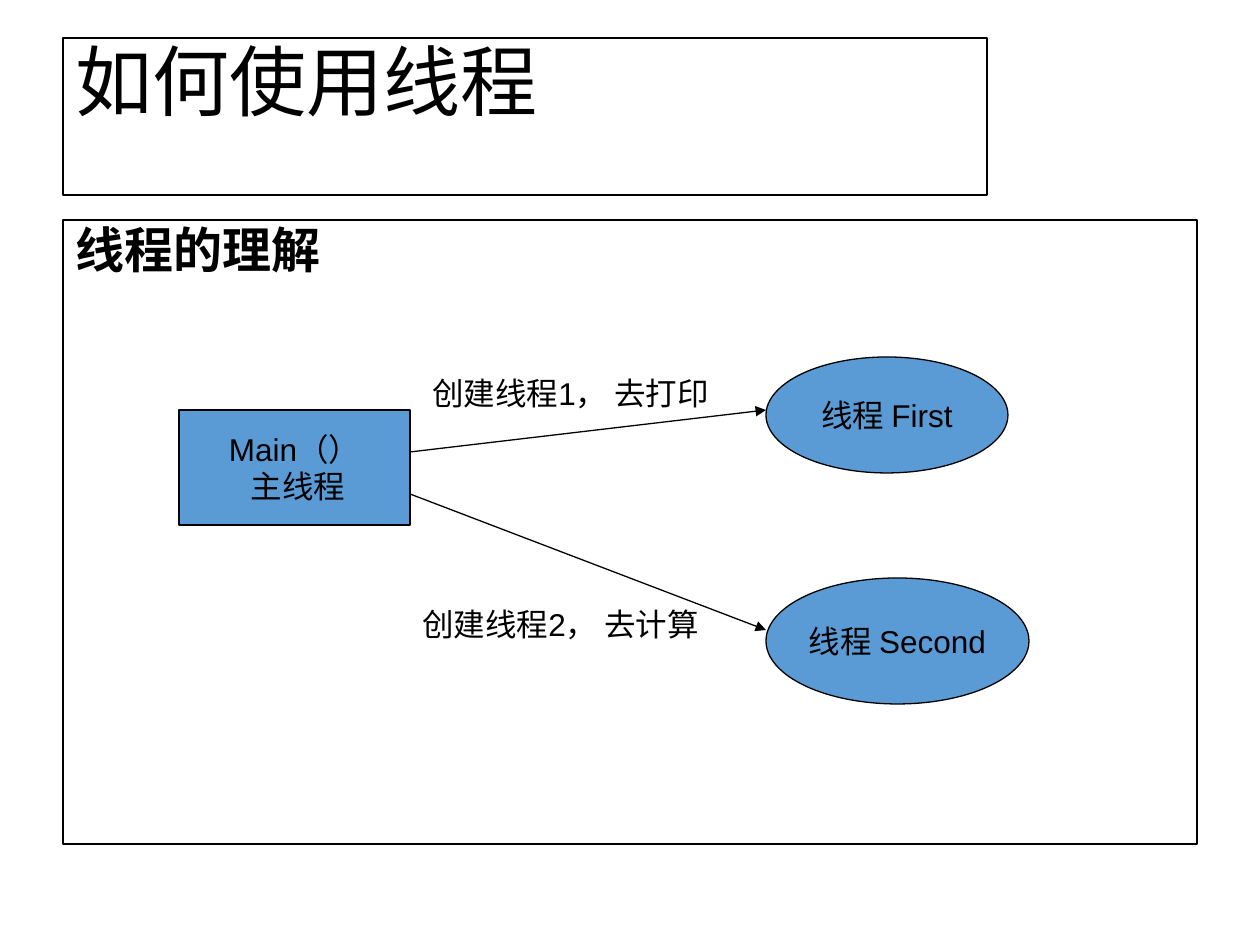
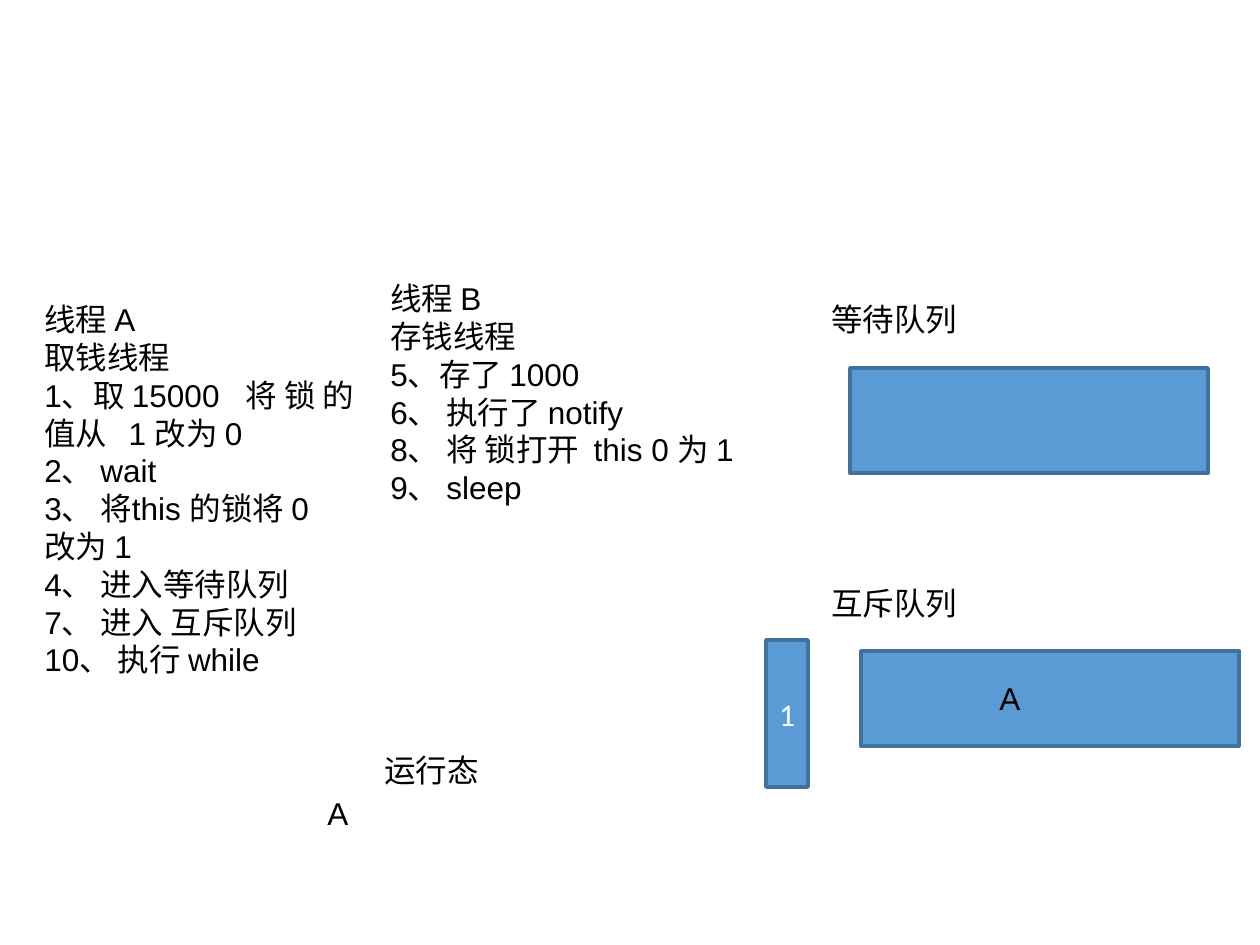
from dataclasses import dataclass
from typing import Optional

import lxml.etree
import pptx
import pptx.dml.color
import pptx.enum.lang
import pptx.enum.shapes
import pptx.enum.text
import pptx.oxml.ns
import pptx.util

# Shared scale, colours and formats
EMU_PER_PX = 914400 / 126
TITLE_ONLY, BLANK = 5, 6
COLOURS = {"paper": "FFFFFF", "ink": "000000", "blue": "5B9BD5", "edge": "41719C"}

SHAPES = pptx.enum.shapes.MSO_SHAPE
ALIGN = pptx.enum.text.PP_ALIGN
ANCHOR = pptx.enum.text.MSO_ANCHOR
AUTO_SIZE = pptx.enum.text.MSO_AUTO_SIZE
CHINESE = pptx.enum.lang.MSO_LANGUAGE_ID.SIMPLIFIED_CHINESE


@dataclass(frozen=True)
class Style:
    """Look of a box: its outline, its text frame and its text."""
    fill: Optional[str] = None
    line: str = "ink"
    line_width: float = 0.75
    font: str = "Arial"
    size: int = 18
    bold: bool = False
    colour: str = "ink"
    align: ALIGN = ALIGN.LEFT
    anchor: ANCHOR = ANCHOR.TOP
    wrap: bool = True
    auto_size: AUTO_SIZE = AUTO_SIZE.NONE
    line_spacing: float = 1.0
    space_before: float = 0


TITLE = Style(fill="paper", font="Calibri", size=44, line_spacing=0.9)
CONTENT = Style(fill="paper", font="Calibri", size=28, bold=True,
                line_spacing=0.9, space_before=10)
NODE = Style(fill="blue", align=ALIGN.CENTER, anchor=ANCHOR.MIDDLE, wrap=False)
QUEUE = Style(fill="blue", line="edge", line_width=2, font="Calibri",
              colour="paper", align=ALIGN.CENTER, anchor=ANCHOR.MIDDLE)
NOTE = Style(auto_size=AUTO_SIZE.SHAPE_TO_FIT_TEXT)
ARROW_LABEL = Style(auto_size=AUTO_SIZE.SHAPE_TO_FIT_TEXT, space_before=11.2)


@dataclass(frozen=True)
class Box:
    """A box in px; without a preset shape it is a plain text box."""
    left: int
    top: int
    width: int
    height: int
    style: Style
    lines: tuple[str, ...] = ()
    preset: Optional[SHAPES] = None


@dataclass(frozen=True)
class Arrow:
    start: tuple[int, int]
    end: tuple[int, int]


# Slide 1: the main thread starts two others
THREADS_TITLE = Box(63, 38, 924, 157, TITLE, ("如何使用线程",))
THREADS_BOXES = (
    Box(63, 220, 1134, 624, CONTENT, ("线程的理解",), SHAPES.RECTANGLE),
    Box(179, 410, 231, 115, NODE, ("Main（）", " 主线程"), SHAPES.RECTANGLE),
    Box(766, 357, 242, 116, NODE, ("线程 First",), SHAPES.OVAL),
    Box(766, 578, 263, 126, NODE, ("线程 Second",), SHAPES.OVAL),
)
THREADS_ARROWS = (Arrow((410, 452), (766, 410)), Arrow((410, 494), (766, 630)))
THREADS_LABELS = (
    Box(420, 368, 315, 88, ARROW_LABEL, ("创建线程1， 去打印",)),
    Box(410, 599, 315, 88, ARROW_LABEL, ("创建线程2， 去计算",)),
)

# Slide 2: two threads, their queues and the lock
QUEUES_BOXES = (
    Box(32, 294, 336, 391, NOTE, (
        "线程 A",
        "取钱线程",
        "1、取 15000   将 锁 的值从   1 改为 0",
        "2、 wait",
        "3、 将this 的锁将 0  改为 1",
        "4、 进入等待队列",
        "7、 进入 互斥队列",
        "10、 执行 while",
    )),
    Box(378, 273, 378, 315, NOTE, (
        "线程 B",
        "存钱线程",
        "5、存了 1000",
        "6、 执行了 notify",
        "8、 将 锁打开  this 0 为 1",
        "9、 sleep",
    )),
    Box(850, 368, 358, 105, QUEUE, preset=SHAPES.RECTANGLE),
    Box(861, 651, 378, 95, QUEUE, preset=SHAPES.RECTANGLE),
    Box(819, 294, 189, 50, NOTE, ("等待队列",)),
    Box(819, 578, 220, 50, NOTE, ("互斥队列",)),
    Box(766, 640, 42, 147, QUEUE, ("1",), SHAPES.RECTANGLE),
    Box(315, 788, 95, 50, NOTE, ("A",)),
    Box(987, 673, 123, 50, NOTE, ("A",)),
    Box(372, 745, 164, 50, NOTE, ("运行态",)),
)


def px(length: int) -> pptx.util.Emu:
    return pptx.util.Emu(round(length * EMU_PER_PX))


def rgb(name: str) -> pptx.dml.color.RGBColor:
    return pptx.dml.color.RGBColor.from_string(COLOURS[name])


def set_attributes(target: object, values: dict) -> None:
    for name, value in values.items():
        setattr(target, name, value)


def paint(shape, style: Style) -> None:
    """Fill and outline a shape."""
    shape.fill.solid()
    shape.fill.fore_color.rgb = rgb(style.fill)
    shape.line.color.rgb = rgb(style.line)
    shape.line.width = pptx.util.Pt(style.line_width)


def write(shape, lines: tuple[str, ...], style: Style) -> None:
    """Put one paragraph per line into a shape."""
    frame = shape.text_frame
    frame.text = "\n".join(lines)
    set_attributes(frame, {
        "word_wrap": style.wrap,
        "auto_size": style.auto_size,
        "vertical_anchor": style.anchor,
    })
    for paragraph in frame.paragraphs:
        set_attributes(paragraph, {
            "alignment": style.align,
            "line_spacing": style.line_spacing,
            "space_before": pptx.util.Pt(style.space_before),
        })
        for run in paragraph.runs:
            set_attributes(run.font, {
                "name": style.font,
                "size": pptx.util.Pt(style.size),
                "bold": style.bold,
                "language_id": CHINESE,
            })
            run.font.color.rgb = rgb(style.colour)


def draw_title(slide, box: Box) -> None:
    title = slide.shapes.title
    set_attributes(title, {name: px(getattr(box, name))
                           for name in ("left", "top", "width", "height")})
    paint(title, box.style)
    write(title, box.lines, box.style)


def draw_box(slide, box: Box) -> None:
    frame = [px(length) for length in (box.left, box.top, box.width, box.height)]
    if box.preset is None:
        shape = slide.shapes.add_textbox(*frame)
    else:
        shape = slide.shapes.add_shape(box.preset, *frame)
        shape.shadow.inherit = False
        paint(shape, box.style)
    if box.lines:
        write(shape, box.lines, box.style)


def draw_arrow(slide, arrow: Arrow) -> None:
    connector = slide.shapes.add_connector(
        pptx.enum.shapes.MSO_CONNECTOR.STRAIGHT,
        *(px(length) for length in arrow.start + arrow.end))
    connector.line.color.rgb = rgb("ink")
    connector.line.width = pptx.util.Pt(0.75)
    # Arrowhead, and no shadow
    qn = pptx.oxml.ns.qn
    lxml.etree.SubElement(connector.line._get_or_add_ln(), qn("a:tailEnd"), type="triangle")
    lxml.etree.SubElement(connector._element.spPr, qn("a:effectLst"))


def main() -> None:
    presentation = pptx.Presentation()
    presentation.slide_width, presentation.slide_height = px(1260), px(945)
    layouts = presentation.slide_layouts

    threads = presentation.slides.add_slide(layouts[TITLE_ONLY])
    draw_title(threads, THREADS_TITLE)
    for box in THREADS_BOXES:
        draw_box(threads, box)
    for arrow in THREADS_ARROWS:
        draw_arrow(threads, arrow)
    for label in THREADS_LABELS:
        draw_box(threads, label)

    queues = presentation.slides.add_slide(layouts[BLANK])
    for box in QUEUES_BOXES:
        draw_box(queues, box)

    presentation.save("out.pptx")


if __name__ == "__main__":
    main()
